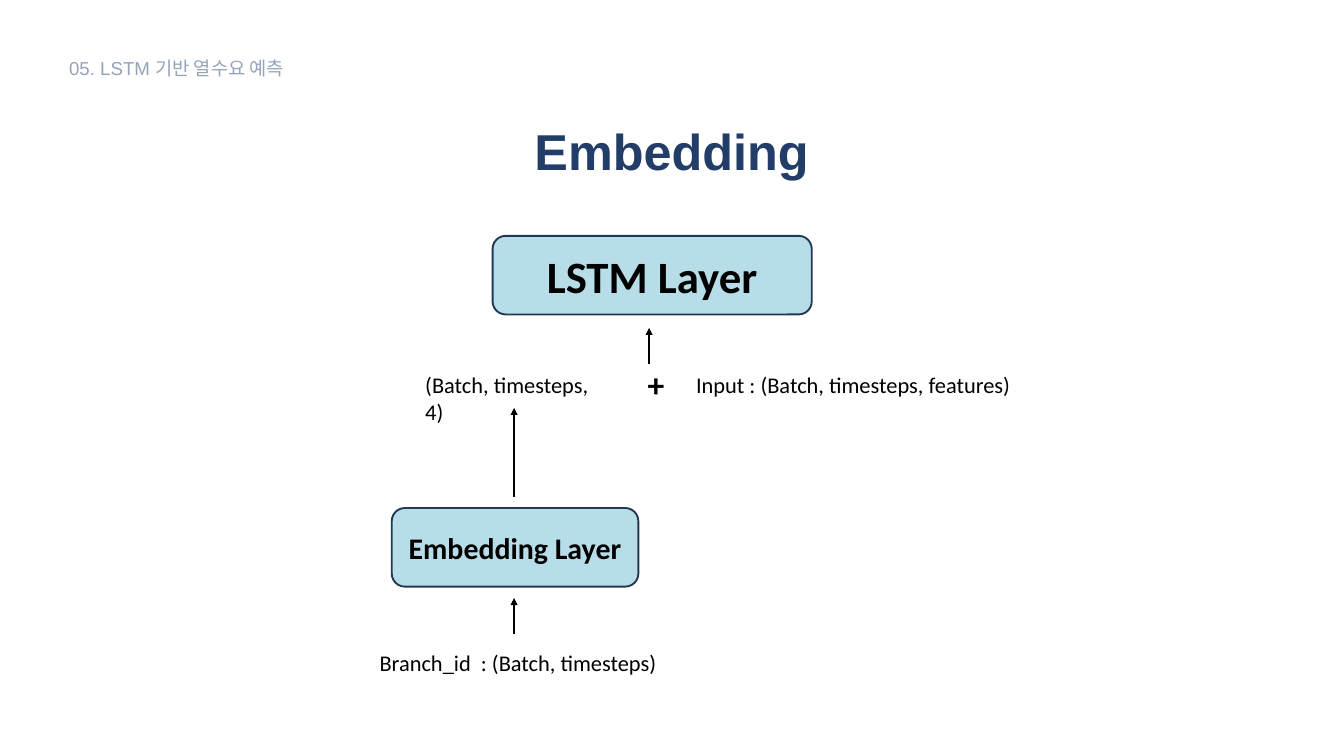
from dataclasses import dataclass

import pptx
import pptx.dml.color
import pptx.enum.shapes
import pptx.enum.text
import pptx.oxml.ns
import pptx.util
from lxml import etree
from pptx.util import Inches

ALIGN = pptx.enum.text.PP_ALIGN
ANCHOR = pptx.enum.text.MSO_ANCHOR
COLORS = {
    "section": "95A4B8",
    "title": "213D68",
    "fill": "B7DEE8",
    "border": "233953",
    "ink": "000000",
}


@dataclass
class Layer:
    text: str
    left: float
    top: float
    width: float
    size: int


@dataclass
class Label:
    text: str
    left: float
    top: float
    width: float
    height: float = 0.5
    size: int = 24
    bold: bool = False
    align: ALIGN = ALIGN.LEFT
    font: str = "Calibri"
    color: str = "ink"
    wrap: bool = True


@dataclass
class Arrow:
    x: float
    bottom: float
    top: float


LAYER_HEIGHT = 1.17
LAYERS = [
    Layer("Embedding Layer", 5.83, 7.56, 3.67, 32),
    Layer("LSTM Layer", 7.33, 3.51, 4.75, 48),
]
LABELS = [
    Label("05. LSTM 기반 열수요 예측", 0.93, 0.8, 3.62, 0.44, size=20,
          font="Arial", color="section", wrap=False),
    Label("(Batch, timesteps, 4)", 6.23, 5.47, 2.9),
    Label("+", 9.54, 5.37, 0.41, 0.71, size=36, bold=True, align=ALIGN.CENTER),
    Label("Input : (Batch, timesteps, features)", 10.26, 5.47, 5.57),
    Label("Branch_id  : (Batch, timesteps)", 5.55, 9.61, 4.37),
]
ARROWS = [
    Arrow(9.66, 5.42, 4.88),
    Arrow(7.65, 9.44, 8.9),
    Arrow(7.65, 7.39, 6.07),
]


def rgb(name: str) -> pptx.dml.color.RGBColor:
    return pptx.dml.color.RGBColor.from_string(COLORS[name])


def write(tf, text: str, *, size: int, font: str = "Calibri", color: str = "ink",
          bold: bool = False, align=ALIGN.CENTER, anchor=ANCHOR.TOP,
          wrap: bool = True) -> None:
    tf.word_wrap = wrap
    tf.auto_size = pptx.enum.text.MSO_AUTO_SIZE.NONE
    tf.vertical_anchor = anchor
    p = tf.paragraphs[0]
    p.alignment = align
    r = p.add_run()
    r.text = text
    r.font.name = font
    r.font.size = pptx.util.Pt(size)
    r.font.bold = bold
    r.font.color.rgb = rgb(color)


def add_title(s, text: str) -> None:
    title = s.shapes.title
    title.left, title.top = Inches(1.11), Inches(1.73)
    title.width, title.height = Inches(17.77), Inches(1.01)
    write(title.text_frame, text, size=54, font="Arial", color="title", bold=True)


def add_layer(s, layer: Layer) -> None:
    sp = s.shapes.add_shape(
        pptx.enum.shapes.MSO_SHAPE.ROUNDED_RECTANGLE,
        Inches(layer.left), Inches(layer.top),
        Inches(layer.width), Inches(LAYER_HEIGHT))
    sp.shadow.inherit = False
    sp.fill.solid()
    sp.fill.fore_color.rgb = rgb("fill")
    sp.line.color.rgb = rgb("border")
    sp.line.width = pptx.util.Pt(2)
    write(sp.text_frame, layer.text, size=layer.size, bold=True,
          anchor=ANCHOR.MIDDLE)


def add_label(s, label: Label) -> None:
    sp = s.shapes.add_textbox(Inches(label.left), Inches(label.top),
                              Inches(label.width), Inches(label.height))
    write(sp.text_frame, label.text, size=label.size, font=label.font,
          color=label.color, bold=label.bold, align=label.align, wrap=label.wrap)


def add_arrow(s, arrow: Arrow) -> None:
    line = s.shapes.add_connector(
        pptx.enum.shapes.MSO_CONNECTOR.STRAIGHT,
        Inches(arrow.x), Inches(arrow.bottom), Inches(arrow.x), Inches(arrow.top))
    line.line.color.rgb = rgb("ink")
    line.line.width = pptx.util.Pt(2.5)
    # Arrowhead at the upper end, and no shadow
    qn = pptx.oxml.ns.qn
    etree.SubElement(line.line._get_or_add_ln(), qn("a:tailEnd"), type="triangle")
    etree.SubElement(line._element.spPr, qn("a:effectLst"))


def main() -> None:
    prs = pptx.Presentation()
    prs.slide_width, prs.slide_height = Inches(20), Inches(11.25)
    s = prs.slides.add_slide(prs.slide_layouts.get_by_name("Title Only"))

    # Heading
    add_title(s, "Embedding")

    # Network diagram, read from bottom to top
    for layer in LAYERS:
        add_layer(s, layer)
    for label in LABELS:
        add_label(s, label)
    for arrow in ARROWS:
        add_arrow(s, arrow)

    prs.save("out.pptx")


if __name__ == "__main__":
    main()
